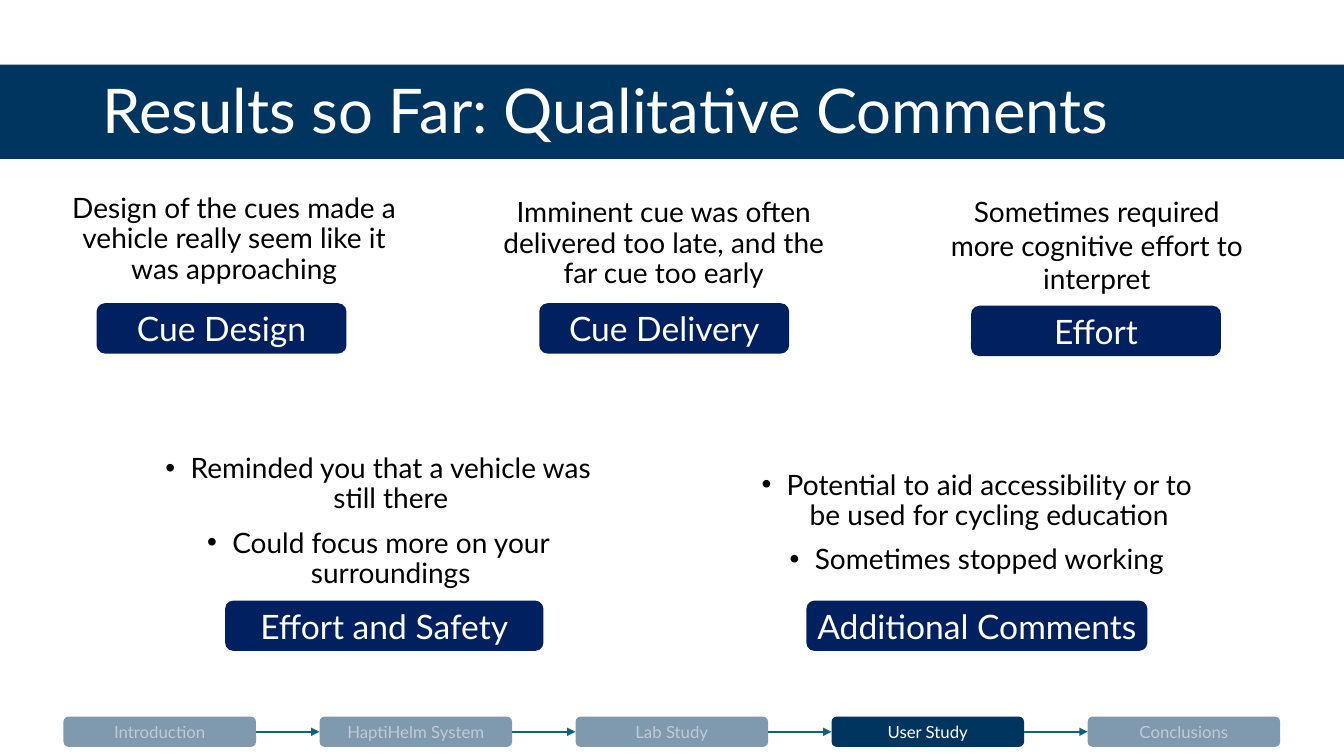
import dataclasses
import typing

import lxml.etree
import pptx
import pptx.dml.color
import pptx.enum.shapes
import pptx.enum.text
import pptx.oxml.ns
import pptx.util

COLORS: dict[str, str] = {
    "band": "00355F",
    "label": "002060",
    "arrow": "156082",
    "light": "FFFFFF",
    "dark": "000000",
}
FONT = "Lato"
SLIDE_WIDTH = pptx.util.Inches(13.333)
SLIDE_HEIGHT = pptx.util.Inches(7.5)
COLUMN = SLIDE_WIDTH / 160
ROW = SLIDE_HEIGHT / 90
CENTER = pptx.enum.text.PP_ALIGN.CENTER
COMPARISON_LAYOUT = 4


@dataclasses.dataclass(frozen=True)
class Box:
    column: float
    row: float
    columns: float
    rows: float

    def lengths(self) -> tuple[int, int, int, int]:
        return (
            round(self.column * COLUMN),
            round(self.row * ROW),
            round(self.columns * COLUMN),
            round(self.rows * ROW),
        )


@dataclasses.dataclass(frozen=True)
class Theme:
    label: str
    label_box: Box
    comments: tuple[str, ...]
    comment_box: Box
    placeholder: typing.Optional[int] = None
    line_spacing: float = 0.9
    space_before: int = 10


THEMES = [
    Theme("Cue Design", Box(11.5, 36.1, 29.75, 6),
          ("Design of the cues made a vehicle really seem like it was approaching",),
          Box(6.1, 22.55, 43.55, 11.65), 3),
    Theme("Cue Delivery", Box(64.2, 36.1, 29.75, 6),
          ("Imminent cue was often delivered too late, and the far cue too early",),
          Box(57.25, 23.05, 43.55, 12.5), 1),
    Theme("Effort", Box(115.6, 36.4, 29.75, 6),
          ("Sometimes required more cognitive effort to interpret",),
          Box(110.9, 22.55, 39.35, 13.3), line_spacing=1.0, space_before=0),
    Theme("Effort and Safety", Box(26.8, 71.5, 37.9, 6),
          ("Reminded you that a vehicle was still there",
           "Could focus more on your surroundings"),
          Box(16.1, 53.5, 57.85, 17.9), 2),
    Theme("Additional Comments", Box(96, 71.5, 40.6, 6),
          ("Potential to aid accessibility or to be used for cycling education",
           "Sometimes stopped working"),
          Box(87.35, 55.45, 57.85, 14.9), 4),
]

STEPS = ["Introduction", "HaptiHelm System", "Lab Study", "User Study", "Conclusions"]
CURRENT_STEP = "User Study"
FIRST_STEP = Box(7.56, 85.32, 22.92, 3.6)
STEP_PITCH = 30.48


def rgb(name: str) -> pptx.dml.color.RGBColor:
    return pptx.dml.color.RGBColor.from_string(COLORS[name])


def place(shape, box: Box) -> None:
    shape.left, shape.top, shape.width, shape.height = box.lengths()


def set_font(paragraph, size: int, color: str) -> None:
    font = paragraph.font
    font.name, font.size, font.bold = FONT, pptx.util.Pt(size), False
    font.color.rgb = rgb(color)


def set_bullet(paragraph, bulleted: bool) -> None:
    properties = paragraph._p.get_or_add_pPr()
    indent = pptx.util.Inches(0.25) if bulleted else 0
    properties.set("marL", str(indent))
    properties.set("indent", str(-indent))
    if bulleted:
        font = lxml.etree.SubElement(properties, pptx.oxml.ns.qn("a:buFont"))
        font.set("typeface", "Arial")
        bullet = lxml.etree.SubElement(properties, pptx.oxml.ns.qn("a:buChar"))
        bullet.set("char", "•")
    else:
        lxml.etree.SubElement(properties, pptx.oxml.ns.qn("a:buNone"))


def fade(shape) -> None:
    for color in shape.element.iter(pptx.oxml.ns.qn("a:srgbClr")):
        lxml.etree.SubElement(color, pptx.oxml.ns.qn("a:alpha")).set("val", "50000")


def add_block(slide, kind, box: Box, color: str):
    shape = slide.shapes.add_shape(kind, *box.lengths())
    shape.shadow.inherit = False
    shape.fill.solid()
    shape.fill.fore_color.rgb = rgb(color)
    shape.line.fill.background()
    return shape


def add_label(slide, text: str, box: Box, color: str, size: int):
    shape = add_block(slide, pptx.enum.shapes.MSO_SHAPE.ROUNDED_RECTANGLE, box, color)
    frame = shape.text_frame
    frame.word_wrap = False
    frame.vertical_anchor = pptx.enum.text.MSO_ANCHOR.MIDDLE
    paragraph = frame.paragraphs[0]
    paragraph.text = text
    paragraph.alignment = CENTER
    set_font(paragraph, size, "light")
    return shape


def add_title(slide, text: str) -> None:
    title = slide.shapes.title
    place(title, Box(11, 4.8, 138, 17.4))
    frame = title.text_frame
    frame.text = text
    frame.auto_size = pptx.enum.text.MSO_AUTO_SIZE.NONE
    frame.vertical_anchor = pptx.enum.text.MSO_ANCHOR.MIDDLE
    paragraph = frame.paragraphs[0]
    paragraph.alignment = pptx.enum.text.PP_ALIGN.LEFT
    paragraph.line_spacing = 0.9
    set_font(paragraph, 44, "light")
    band = add_block(slide, pptx.enum.shapes.MSO_SHAPE.RECTANGLE,
                     Box(0, 7.68, 160, 11.25), "band")
    title.element.addprevious(band.element)


def add_theme(slide, theme: Theme) -> None:
    if theme.placeholder is None:
        shape = slide.shapes.add_textbox(*theme.comment_box.lengths())
    else:
        shape = next(item for item in slide.placeholders
                     if item.placeholder_format.idx == theme.placeholder)
        place(shape, theme.comment_box)
    frame = shape.text_frame
    frame.text = "\n".join(theme.comments)
    frame.word_wrap = True
    frame.auto_size = pptx.enum.text.MSO_AUTO_SIZE.NONE
    frame.vertical_anchor = pptx.enum.text.MSO_ANCHOR.TOP
    for paragraph in frame.paragraphs:
        paragraph.alignment = CENTER
        paragraph.line_spacing = theme.line_spacing
        paragraph.space_before = pptx.util.Pt(theme.space_before)
        set_bullet(paragraph, len(theme.comments) > 1)
        set_font(paragraph, 20, "dark")
    add_label(slide, theme.label, theme.label_box, "label", 24)


def add_arrow(slide, start, end) -> None:
    connector = slide.shapes.add_connector(
        pptx.enum.shapes.MSO_CONNECTOR.STRAIGHT, 0, 0, 0, 0)
    connector.begin_connect(start, 3)
    connector.end_connect(end, 1)
    connector.line.color.rgb = rgb("arrow")
    connector.line.width = pptx.util.Pt(1.5)
    line = connector.line._get_or_add_ln()
    lxml.etree.SubElement(line, pptx.oxml.ns.qn("a:tailEnd")).set("type", "triangle")
    lxml.etree.SubElement(connector.element.spPr, pptx.oxml.ns.qn("a:effectLst"))


def add_progress(slide) -> None:
    steps = []
    for index, name in enumerate(STEPS):
        box = dataclasses.replace(
            FIRST_STEP, column=FIRST_STEP.column + index * STEP_PITCH)
        step = add_label(slide, name, box, "band", 12)
        if name != CURRENT_STEP:
            fade(step)
        steps.append(step)
    for start, end in zip(steps, steps[1:]):
        add_arrow(slide, start, end)


def main() -> None:
    presentation = pptx.Presentation()
    presentation.slide_width = SLIDE_WIDTH
    presentation.slide_height = SLIDE_HEIGHT
    slide = presentation.slides.add_slide(presentation.slide_layouts[COMPARISON_LAYOUT])
    add_title(slide, "Results so Far: Qualitative Comments")
    for theme in THEMES:
        add_theme(slide, theme)
    add_progress(slide)
    presentation.save("out.pptx")


if __name__ == "__main__":
    main()
